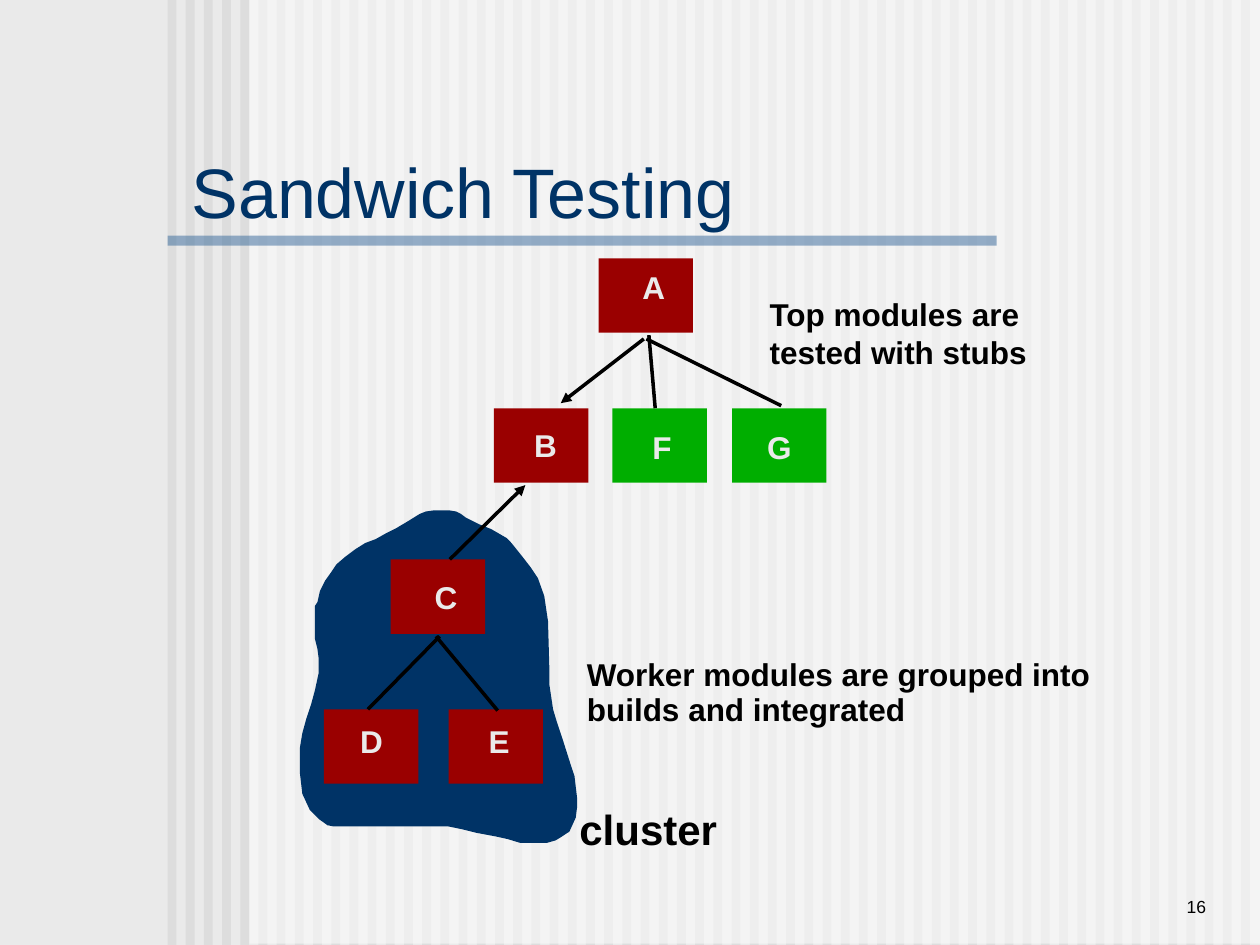
from lxml import etree
from pptx import Presentation
from pptx.dml.color import RGBColor
from pptx.enum.shapes import MSO_CONNECTOR, MSO_SHAPE
from pptx.enum.text import MSO_ANCHOR, MSO_AUTO_SIZE, PP_ALIGN
from pptx.oxml.ns import qn
from pptx.util import Inches, Pt

BACKGROUND = RGBColor(0xEA, 0xEA, 0xEA)
STRIPE = RGBColor(0xDD, 0xDD, 0xDD)
WHITE = RGBColor(0xFF, 0xFF, 0xFF)
BLACK = RGBColor(0x00, 0x00, 0x00)
RULE = RGBColor(0x33, 0x66, 0x99)
NAVY = RGBColor(0x00, 0x33, 0x66)
RED = RGBColor(0x9A, 0x00, 0x00)
GREEN = RGBColor(0x00, 0xAE, 0x00)


def add_rectangle(left, top, width, height, color, opacity=100):
    shape = slide.shapes.add_shape(
        MSO_SHAPE.RECTANGLE, Inches(left), Inches(top), Inches(width), Inches(height))
    shape.shadow.inherit = False
    shape.fill.solid()
    shape.fill.fore_color.rgb = color
    shape.line.fill.background()
    if opacity < 100:
        color_element = shape.element.spPr.find(qn("a:solidFill"))[0]
        etree.SubElement(color_element, qn("a:alpha"), val=str(opacity * 1000))


def add_text(text, left, top, width, height, size, color, bold=True):
    shape = slide.shapes.add_textbox(
        Inches(left), Inches(top), Inches(width), Inches(height))
    text_frame = shape.text_frame
    text_frame.text = text
    text_frame.word_wrap = False
    text_frame.auto_size = MSO_AUTO_SIZE.SHAPE_TO_FIT_TEXT
    for paragraph in text_frame.paragraphs:
        font = paragraph.runs[0].font
        font.name, font.size, font.bold = "Arial", Pt(size), bold
        font.color.rgb = color
    return text_frame


presentation = Presentation()
presentation.slide_width = Inches(10)
presentation.slide_height = Inches(7.5)
slide = presentation.slides.add_slide(presentation.slide_layouts[5])
slide.background.fill.solid()
slide.background.fill.fore_color.rgb = BACKGROUND

stripe_count = 60
stripe_pitch = (9.85 - 1.33) / (stripe_count - 1)
for index in range(stripe_count):
    add_rectangle(1.33 + index * stripe_pitch, 0, 0.07, 7.5, STRIPE)
add_rectangle(1.98, -0.01, 8.02, 7.5, WHITE, 50)
add_rectangle(1.33, 1.87, 6.58, 0.08, RULE, 50)

title = slide.shapes.title
title.left, title.top = Inches(1.42), Inches(1.25)
title.width, title.height = Inches(6.35), Inches(0.52)
title.text_frame.text = "Sandwich Testing"
title.text_frame.vertical_anchor = MSO_ANCHOR.MIDDLE
title.text_frame.auto_size = MSO_AUTO_SIZE.NONE
title_paragraph = title.text_frame.paragraphs[0]
title_paragraph.alignment = PP_ALIGN.LEFT
title_font = title_paragraph.runs[0].font
title_font.name, title_font.size = "Arial", Pt(40)
title_font.color.rgb = NAVY
slide.shapes.element.append(title.element)

cluster_outline = [
    (4.02, 4.27), (3.9, 4.2), (3.8, 4.16), (3.7, 4.11), (3.66, 4.08), (3.62, 4.06),
    (3.56, 4.05), (3.45, 4.05), (3.38, 4.06), (3.33, 4.08), (3.25, 4.13), (3.15, 4.19),
    (3.07, 4.23), (2.98, 4.28), (2.9, 4.31), (2.82, 4.36), (2.74, 4.42), (2.67, 4.48),
    (2.63, 4.54), (2.58, 4.61), (2.54, 4.69), (2.52, 4.78), (2.5, 4.81), (2.5, 5.07),
    (2.52, 5.15), (2.53, 5.23), (2.53, 5.34), (2.5, 5.48), (2.47, 5.59), (2.43, 5.71),
    (2.4, 5.82), (2.38, 5.94), (2.38, 6.13), (2.4, 6.3), (2.46, 6.43), (2.53, 6.5),
    (2.6, 6.55), (2.65, 6.56), (3.56, 6.56), (3.66, 6.58), (3.78, 6.61), (3.94, 6.64),
    (4.03, 6.66), (4.13, 6.69), (4.34, 6.69), (4.41, 6.67), (4.46, 6.64), (4.52, 6.6),
    (4.57, 6.49), (4.58, 6.41), (4.58, 6.33), (4.56, 6.16), (4.53, 6.07), (4.47, 5.88),
    (4.42, 5.73), (4.39, 5.63), (4.36, 5.43), (4.36, 5.29), (4.35, 4.93), (4.32, 4.73),
    (4.27, 4.59), (4.21, 4.5), (4.14, 4.41), (4.06, 4.31)]
cluster_points = [(Inches(x), Inches(y)) for x, y in cluster_outline]
builder = slide.shapes.build_freeform(*cluster_points[0])
builder.add_line_segments(cluster_points[1:], close=True)
cluster = builder.convert_to_shape()
cluster.shadow.inherit = False
cluster.fill.solid()
cluster.fill.fore_color.rgb = NAVY
cluster.line.fill.background()

modules = [
    ("A", 4.75, 2.05, RED, 5.0, 2.08),
    ("B", 3.92, 3.24, RED, 4.14, 3.33),
    ("C", 3.1, 4.44, RED, 3.35, 4.54),
    ("D", 2.57, 5.63, RED, 2.76, 5.68),
    ("E", 3.56, 5.63, RED, 3.78, 5.68),
    ("F", 4.86, 3.24, GREEN, 5.08, 3.35),
    ("G", 5.81, 3.24, GREEN, 5.99, 3.35)]
for name, left, top, color, label_left, label_top in modules:
    add_rectangle(left, top, 0.75, 0.59, color)

links = [
    (3.49, 5.05, 2.92, 5.63, False),
    (3.46, 5.05, 3.95, 5.64, False),
    (5.15, 2.66, 5.2, 3.24, False),
    (5.13, 2.69, 6.2, 3.22, False),
    (5.11, 2.69, 4.45, 3.2, True),
    (3.57, 4.44, 4.17, 3.85, True)]
for *ends, has_arrow in links:
    connector = slide.shapes.add_connector(
        MSO_CONNECTOR.STRAIGHT, *[Inches(end) for end in ends])
    connector.line.color.rgb = BLACK
    connector.line.width = Pt(2)
    if has_arrow:
        line_element = connector.element.spPr.find(qn("a:ln"))
        etree.SubElement(line_element, qn("a:tailEnd"), type="triangle")
    etree.SubElement(connector.element.spPr, qn("a:effectLst"))

for name, left, top, color, label_left, label_top in modules:
    add_text(name, label_left, label_top, 0.38, 0.4, 18, BACKGROUND)

add_text("Top modules are\ntested with stubs", 6.01, 2.29, 2.24, 0.7, 18, BLACK)
add_text("Worker modules are grouped into", 4.56, 5.15, 4.27, 0.4, 18, BLACK)
add_text("builds and integrated", 4.56, 5.43, 2.73, 0.4, 18, BLACK)
add_text("cluster", 4.5, 6.33, 1.29, 0.5, 24, BLACK)

slide_number = add_text("16", 8.25, 6.83, 1.42, 0.5, 10, BLACK, bold=False)
slide_number.word_wrap = True
slide_number.auto_size = MSO_AUTO_SIZE.NONE
slide_number.vertical_anchor = MSO_ANCHOR.BOTTOM
slide_number.paragraphs[0].alignment = PP_ALIGN.RIGHT

presentation.save("out.pptx")
